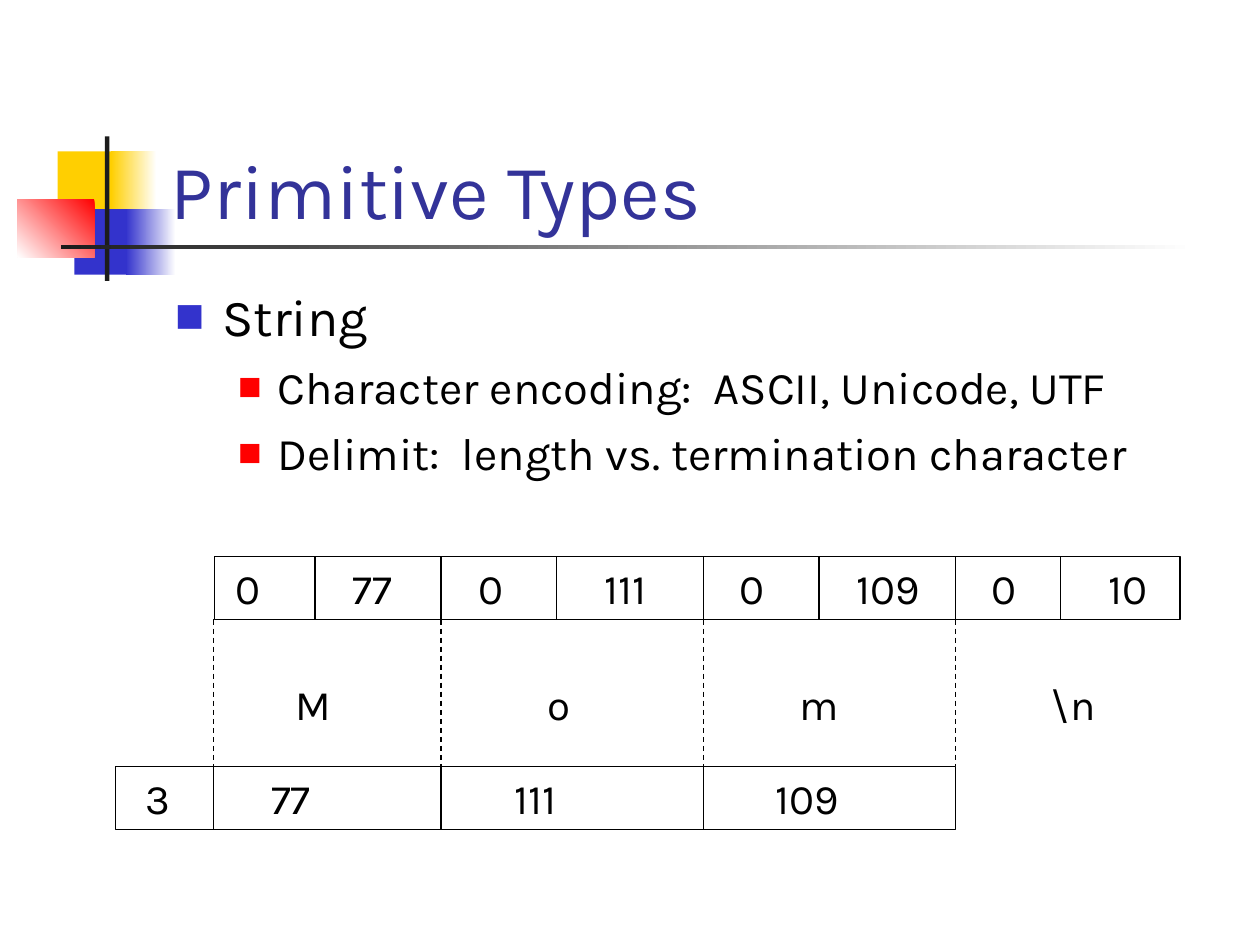
from lxml import etree
from pptx import Presentation
from pptx import util as u
from pptx.dml.color import RGBColor
from pptx.enum import dml, shapes, text
from pptx.oxml import ns

Pt = u.Pt


class Theme:
    font = "Karla"
    title_size, topic_size, detail_size, cell_size = 44, 29.6, 25.9, 24
    white, black, charcoal = "FFFFFF", "000000", "1C1C1C"
    yellow, blue, red, title = "FFCF01", "3333CC", "FF0000", "333399"


def add_text(left, top, width, height, lines, size, color=Theme.black, inset=7.2):
    shape = slide.shapes.add_textbox(Pt(left), Pt(top), Pt(width), Pt(height))
    frame = shape.text_frame
    frame.word_wrap = True
    frame.margin_left, frame.margin_right = Pt(inset), Pt(7.2)
    frame.margin_top = frame.margin_bottom = Pt(3.6)
    frame.text = lines
    for paragraph in frame.paragraphs:
        for run in paragraph.runs:
            run.font.name = Theme.font
            run.font.size = Pt(size)
            run.font.color.rgb = RGBColor.from_string(color)
    return shape


def add_line(x, top, bottom, dashed=False):
    line = slide.shapes.add_connector(
        shapes.MSO_CONNECTOR.STRAIGHT, Pt(x), Pt(top), Pt(x), Pt(bottom))
    line.line.color.rgb = RGBColor.from_string(Theme.black)
    line.line.width = Pt(0.75)
    if dashed:
        line.line.dash_style = dml.MSO_LINE.DASH
    etree.SubElement(line._element.spPr, ns.qn("a:effectLst"))


presentation = Presentation()
presentation.slide_width, presentation.slide_height = Pt(720), Pt(540)
slide = presentation.slides.add_slide(presentation.slide_layouts[6])

decorations = [
    (33, 86.5, 34.5, 37.5, [Theme.yellow], 0),
    (63.5, 86.5, 26, 37.5, [Theme.white, Theme.yellow], 180),
    (42.5, 119.5, 33, 37.5, [Theme.blue], 0),
    (72, 119.5, 28.5, 37.5, [Theme.white, Theme.blue], 180),
    (10, 113.75, 44, 33.25, [Theme.red, Theme.white], 225),
    (60, 78, 2.5, 82.5, [Theme.charcoal], 0),
    (34.75, 140, 648, 2.5, [Theme.white, Theme.charcoal], 180),
]
for left, top, width, height, colors, angle in decorations:
    shape = slide.shapes.add_shape(
        shapes.MSO_SHAPE.RECTANGLE, Pt(left), Pt(top), Pt(width), Pt(height))
    shape.shadow.inherit = False
    shape.line.fill.background()
    if len(colors) == 1:
        shape.fill.solid()
        shape.fill.fore_color.rgb = RGBColor.from_string(colors[0])
    else:
        shape.fill.gradient()
        shape.fill.gradient_angle = angle
        for stop, color, position in zip(shape.fill.gradient_stops, colors, (0, 1)):
            stop.color.rgb = RGBColor.from_string(color)
            stop.position = position

title = add_text(90.5, 48, 613.5, 90, "Primitive Types", Theme.title_size, Theme.title)
title.text_frame.vertical_anchor = text.MSO_ANCHOR.BOTTOM

body = add_text(
    93, 159, 597, 141,
    "String\nCharacter encoding:  ASCII, Unicode, UTF\nDelimit:  length vs. termination character",
    Theme.detail_size)
topic_style = (0, Theme.topic_size, 8, 27, 27, Theme.blue, 60)
detail_style = (1, Theme.detail_size, 7, 58.5, 22.5, Theme.red, 55)
styles = [topic_style, detail_style, detail_style]
for paragraph, style in zip(body.text_frame.paragraphs, styles):
    level, size, space, margin, hanging, color, percent = style
    paragraph.level = level
    paragraph.space_before = Pt(space)
    paragraph.runs[0].font.size = Pt(size)
    properties = paragraph._p.get_or_add_pPr()
    properties.set("marL", str(Pt(margin)))
    properties.set("indent", str(-Pt(hanging)))
    bullet_color = etree.SubElement(properties, ns.qn("a:buClr"))
    etree.SubElement(bullet_color, ns.qn("a:srgbClr"), val=color)
    etree.SubElement(properties, ns.qn("a:buSzPct"), val=str(percent * 1000))
    etree.SubElement(properties, ns.qn("a:buFont"), typeface=Theme.font)
    etree.SubElement(properties, ns.qn("a:buChar"), char="■")

row_height = 36
utf16_top, letters_top, counted_top = 318, 384, 438
rows = [
    (162, letters_top, 516, 7.2, False,
     ["M", "o", "m", "\\n"], [144, 288, 432]),
    (66, counted_top, 480, 17, True,
     ["3", "77", "111", "109"], [72, 211, 360]),
    (122.4, utf16_top, 552, 12.2, True,
     ["0", "77", "0", "111", "0", "109", "0", "10"],
     [67, 139, 211, 288, 355, 432, 499]),
]
for left, top, width, inset, outlined, values, stops in rows:
    row = add_text(left, top, width, row_height, "\t".join(values),
                   Theme.cell_size, inset=inset)
    if outlined:
        row.line.color.rgb = RGBColor.from_string(Theme.black)
        row.line.width = Pt(0.75)
    properties = row.text_frame.paragraphs[0]._p.get_or_add_pPr()
    tabs = etree.SubElement(properties, ns.qn("a:tabLst"))
    for stop in stops:
        etree.SubElement(tabs, ns.qn("a:tab"), pos=str(Pt(stop)), algn="l")

string_start, string_end = 122, 546
letter_edges = [252, 402]
for x in [180, 318, 468, 606] + letter_edges + [string_end]:
    add_line(x, utf16_top, utf16_top + row_height)
for x in [string_start] + letter_edges:
    add_line(x, counted_top, counted_top + row_height)
for x in [string_start] + letter_edges + [string_end]:
    add_line(x, utf16_top + row_height, counted_top, dashed=True)

presentation.save("out.pptx")
